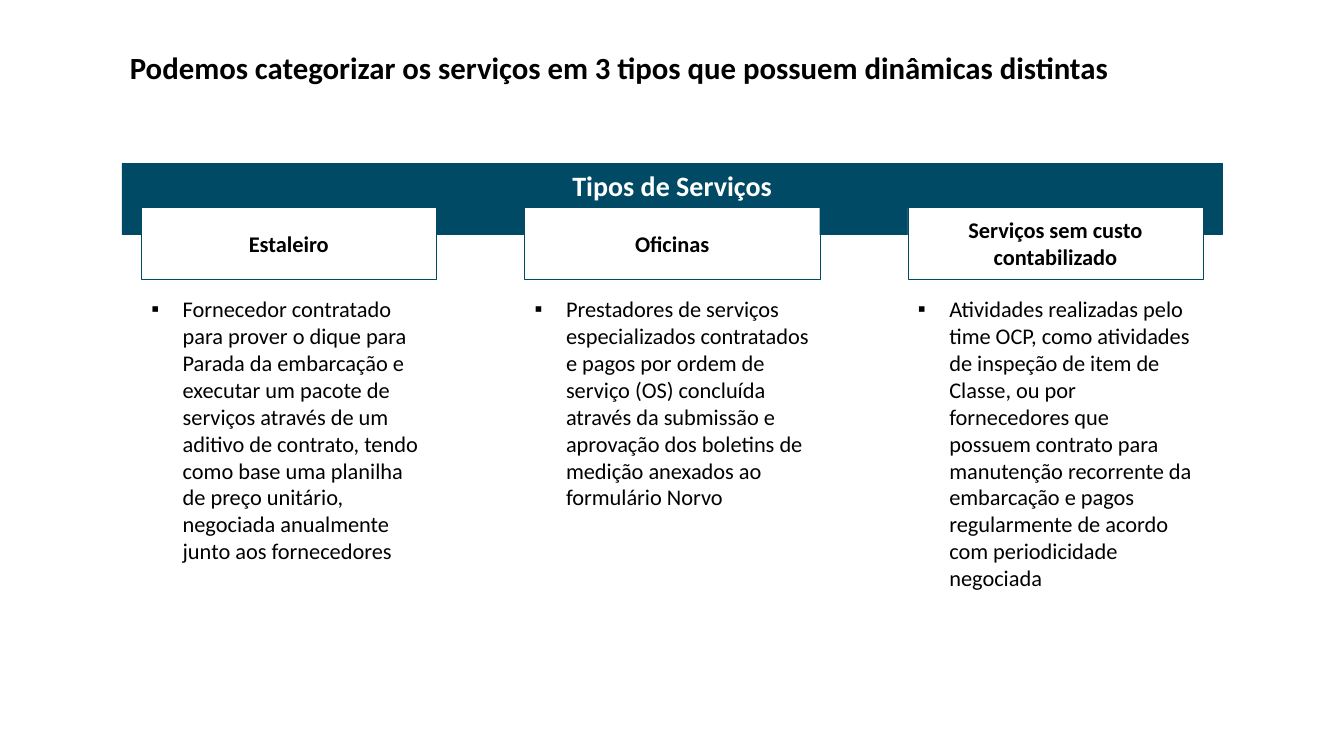
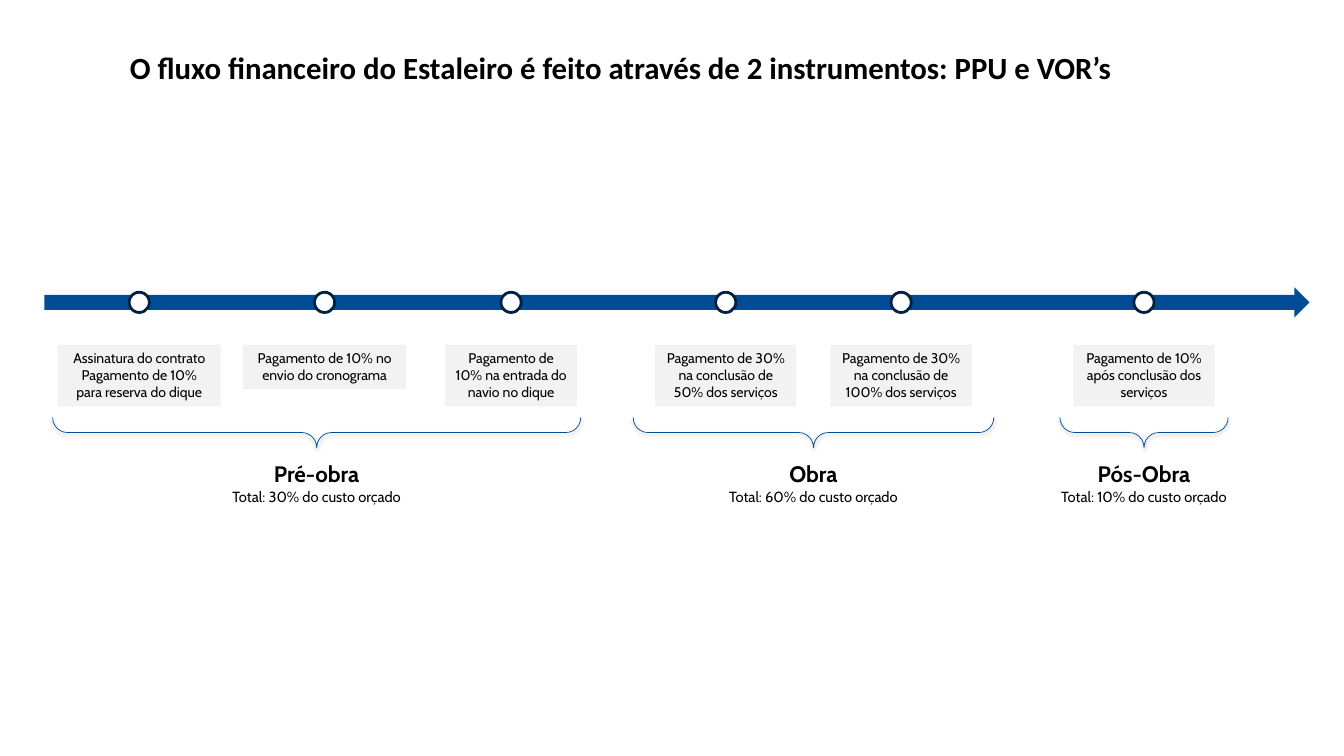
from dataclasses import dataclass

from lxml.etree import SubElement
from pptx import Presentation
from pptx.dml.color import RGBColor
from pptx.enum.shapes import MSO_SHAPE
from pptx.enum.text import MSO_ANCHOR, MSO_AUTO_SIZE, PP_ALIGN
from pptx.oxml.ns import qn
from pptx.util import Cm, Pt


@dataclass(frozen=True)
class Theme:
    # Colours
    black: str = "000000"
    white: str = "FFFFFF"
    teal: str = "014A65"
    blue: str = "004C97"
    navy: str = "002142"
    grey: str = "F2F2F2"
    # Fonts
    main: str = "Calibri"
    flow: str = "Cabin"
    # Type sizes
    title: float = 22
    head: float = 20
    body: float = 16
    total: float = 10.5
    step: float = 10


T = Theme()

SERVICES = [
    ("Estaleiro",
     "Fornecedor contratado para prover o dique para Parada da embarcação e "
     "executar um pacote de serviços através de um aditivo de contrato, tendo "
     "como base uma planilha de preço unitário, negociada anualmente junto "
     "aos fornecedores"),
    ("Oficinas",
     "Prestadores de serviços especializados contratados e pagos por ordem de "
     "serviço (OS) concluída através da submissão e aprovação dos boletins de "
     "medição anexados ao formulário Norvo"),
    ("Serviços sem custo contabilizado",
     "Atividades realizadas pelo time OCP, como atividades de inspeção de item "
     "de Classe, ou por fornecedores que possuem contrato para manutenção "
     "recorrente da embarcação e pagos regularmente de acordo com "
     "periodicidade negociada"),
]

# Phase: name, total, centre, span, steps; step: centre, width, height, lines
PHASES = [
    ("Pré-obra", "Total: 30% do custo orçado", 7.98, 13.31, [
        (3.51, 4.11, 1.55, ["Assinatura do contrato",
                            "Pagamento de 10% para reserva do dique"]),
        (8.18, 4.11, 1.12, ["Pagamento de 10% no envio do cronograma"]),
        (12.88, 3.32, 1.55, ["Pagamento de 10% na entrada do navio no dique"]),
    ]),
    ("Obra", "Total: 60% do custo orçado", 20.5, 9.09, [
        (18.29, 3.56, 1.55,
         ["Pagamento de 30% na conclusão de 50% dos serviços"]),
        (22.71, 3.56, 1.55,
         ["Pagamento de 30% na conclusão de 100% dos serviços"]),
    ]),
    ("Pós-Obra", "Total: 10% do custo orçado", 28.83, 4.24, [
        (28.83, 3.56, 1.55, ["Pagamento de 10% após conclusão dos serviços"]),
    ]),
]


def color(code):
    return RGBColor.from_string(code)


def place(item, x, y, w, h):
    item.left, item.top, item.width, item.height = Cm(x), Cm(y), Cm(w), Cm(h)


def write(item, *lines, size=T.body, font=T.main, ink=T.black, bold=False,
          align=PP_ALIGN.CENTER, anchor=MSO_ANCHOR.TOP, space=1.0, bullet=None):
    """Fill an item with lines; a line is text or (text, size, bold)."""
    frame = item.text_frame
    frame.word_wrap = True
    frame.auto_size = MSO_AUTO_SIZE.NONE
    frame.vertical_anchor = anchor
    for i, line in enumerate(lines):
        words, points, heavy = (
            (line, size, bold) if isinstance(line, str) else line)
        para = frame.paragraphs[0] if i == 0 else frame.add_paragraph()
        if bullet:
            props = para._p.get_or_add_pPr()
            props.set("marL", str(Cm(0.79)))
            props.set("indent", str(-Cm(0.79)))
            SubElement(props, qn("a:buFont")).set("typeface", "Wingdings")
            SubElement(props, qn("a:buFont")).getparent().remove(props[-1])
            props[-1].set("typeface", "Arial")
            SubElement(props, qn("a:buChar")).set("char", bullet)
        para.alignment = align
        para.line_spacing = space
        para.space_before = Pt(0)
        run = para.add_run()
        run.text = words
        run.font.size, run.font.bold = Pt(points), heavy
        run.font.name, run.font.color.rgb = font, color(ink)


def shape(slide, kind, x, y, w, h, fill=None, line=None, width=0.25):
    item = slide.shapes.add_shape(kind, Cm(x), Cm(y), Cm(w), Cm(h))
    item.shadow.inherit = False
    if fill:
        item.fill.solid()
        item.fill.fore_color.rgb = color(fill)
    else:
        item.fill.background()
    if line:
        item.line.color.rgb = color(line)
        item.line.width = Pt(width)
    else:
        item.line.fill.background()
    return item


def shade(item):
    """Give a shape a soft shadow that falls straight down."""
    effects = item._element.spPr.find(qn("a:effectLst"))
    outer = SubElement(effects, qn("a:outerShdw"), blurRad=str(Pt(3.1)),
                       dist=str(Pt(1.6)), dir="5400000", rotWithShape="0")
    ink = SubElement(outer, qn("a:srgbClr"), val=T.black)
    SubElement(ink, qn("a:alpha"), val="38000")


def start(deck, layout, title):
    """Add a slide with the shared title style."""
    slide = deck.slides.add_slide(deck.slide_layouts.get_by_name(layout))
    place(slide.shapes.title, 3.02, 0.84, 29.13, 1.8)
    write(slide.shapes.title, title, size=T.title, bold=True, space=0.9,
          align=PP_ALIGN.LEFT, anchor=MSO_ANCHOR.MIDDLE)
    return slide


def card(slide, body, x, y, w, name, detail):
    """Column: framed heading above a bulleted text."""
    box = shape(slide, MSO_SHAPE.RECTANGLE, x, y, w, 1.8, T.white, T.teal)
    write(box, name, bold=True, anchor=MSO_ANCHOR.MIDDLE)
    place(body, x, y + 2.09, w, 7.77)
    write(body, detail, align=PP_ALIGN.LEFT, bullet="▪")


def types(deck):
    slide = start(
        deck, "Comparison",
        "Podemos categorizar os serviços em 3 tipos que possuem dinâmicas "
        "distintas")
    # Banner
    x, y, w = 3.07, 4.11, 27.74
    band = shape(slide, MSO_SHAPE.RECTANGLE, x, y, w, 1.8, T.teal, T.teal)
    write(band, "Tipos de Serviços", size=T.head, ink=T.white, bold=True)
    # Columns, spread evenly inside the banner
    _, *bodies, spare = slide.placeholders
    spare._element.getparent().remove(spare._element)
    pad, wide = 0.49, 7.44
    pitch = (w - 2 * pad - wide) / (len(SERVICES) - 1)
    for i, (body, (name, detail)) in enumerate(zip(bodies, SERVICES)):
        card(slide, body, x + pad + i * pitch, y + 1.12, wide, name, detail)


def step(slide, mid, y, w, h, lines):
    """Milestone: dot on the axis at y, with its label below."""
    dot = 0.51
    shape(slide, MSO_SHAPE.OVAL, mid - dot / 2, y - dot / 2, dot, dot,
          T.white, T.navy, 2)
    box = shape(slide, MSO_SHAPE.RECTANGLE, mid - w / 2, y + 1.07, w, h, T.grey)
    write(box, *lines, size=T.step, font=T.flow)


def phase(slide, y, name, total, mid, span, steps):
    """Phase: milestones, a brace under them and a caption."""
    for x, w, h, lines in steps:
        step(slide, x, y, w, h, lines)
    # Brace, turned to point down
    deep = 0.76
    brace = shape(slide, MSO_SHAPE.RIGHT_BRACE, mid - deep / 2,
                  y + 3.28 - span / 2, deep, span, line=T.blue, width=0.5)
    brace.rotation = 90
    brace.adjustments[0] = 0.49
    shade(brace)
    # Caption
    w = 6.48
    note = slide.shapes.add_textbox(Cm(mid - w / 2), Cm(y + 3.86), Cm(w), Cm(1.4))
    write(note, (name, T.body, True), (total, T.total, False), font=T.flow)


def flow(deck):
    slide = start(
        deck, "Title Only",
        "O fluxo financeiro do Estaleiro é feito através de 2 instrumentos: "
        "PPU e VOR’s")
    # Time axis
    y, thick = 7.62, 0.76
    shape(slide, MSO_SHAPE.RIGHT_ARROW, 1.12, y - thick / 2, 31.88, thick, T.blue)
    # Phases
    for item in PHASES:
        phase(slide, y, *item)


def main():
    deck = Presentation()
    deck.slide_width, deck.slide_height = Cm(33.87), Cm(19.05)
    types(deck)
    flow(deck)
    deck.save("out.pptx")


if __name__ == "__main__":
    main()
